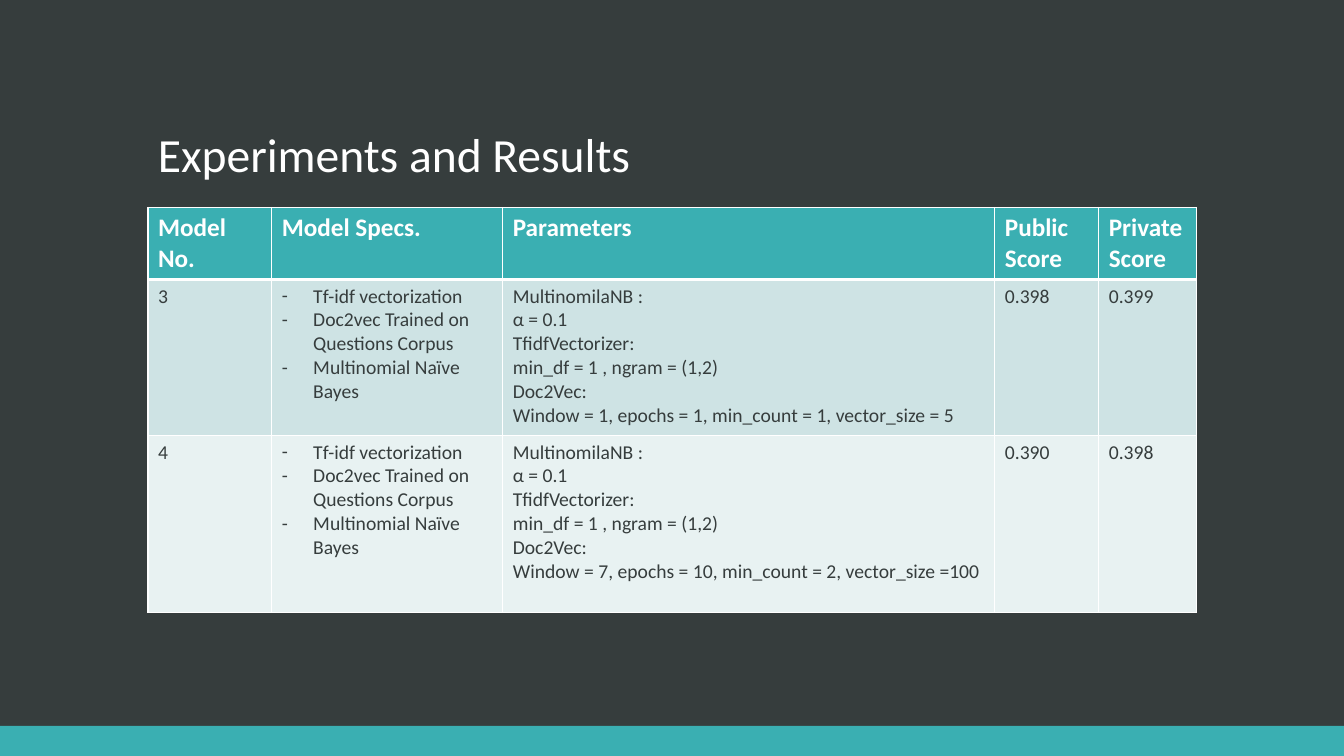
"""Build the Experiments and Results slide with its table of models."""
from lxml.etree import SubElement
from pptx import Presentation
from pptx.dml.color import RGBColor
from pptx.enum.shapes import MSO_SHAPE
from pptx.enum.text import MSO_ANCHOR
from pptx.oxml.ns import qn
from pptx.util import Cm, Pt

COLORS = {
    "background": "363D3D",
    "accent": "3AAFB2",
    "white": "FFFFFF",
    "row_dark": "CEE3E4",
    "row_light": "E8F2F2",
}


def add_run(p, text, size, color, bold=False):
    r = p.add_run()
    r.text = text
    r.font.name = "Calibri"
    r.font.size = Pt(size)
    r.font.bold = bold
    r.font.color.rgb = RGBColor.from_string(COLORS[color])


def add_border(cell, side, width):
    ln = SubElement(cell._tc.get_or_add_tcPr(), qn(f"a:ln{side}"), w=str(Pt(width)))
    fill = SubElement(ln, qn("a:solidFill"))
    SubElement(fill, qn("a:srgbClr"), val=COLORS["white"])


prs = Presentation()
prs.slide_width, prs.slide_height = Cm(33.87), Cm(19.05)
s = prs.slides.add_slide(prs.slide_layouts[6])
s.background.fill.solid()
s.background.fill.fore_color.rgb = RGBColor.from_string(COLORS["background"])

bar = s.shapes.add_shape(MSO_SHAPE.RECTANGLE, 0, Cm(18.29), prs.slide_width, Cm(0.76))
bar.shadow.inherit = False
bar.fill.solid()
bar.fill.fore_color.rgb = RGBColor.from_string(COLORS["accent"])
bar.line.fill.background()

title = s.shapes.add_textbox(Cm(3.73), Cm(1.3), Cm(26.42), Cm(3.43))
tf = title.text_frame
tf.word_wrap = True
tf.vertical_anchor = MSO_ANCHOR.BOTTOM
tf.paragraphs[0].line_spacing = 0.9
add_run(tf.paragraphs[0], "Experiments and Results", 34, "white")

specs = ["Tf-idf vectorization", "Doc2vec Trained on Questions Corpus",
         "Multinomial Naïve Bayes"]
params = ["MultinomilaNB : ", "α = 0.1 ", "TfidfVectorizer: ",
          "min_df = 1 , ngram = (1,2) ", "Doc2Vec: "]
doc2vec_3 = "Window = 1, epochs = 1, min_count = 1, vector_size = 5 "
doc2vec_4 = "Window = 7, epochs = 10, min_count = 2, vector_size =100 "
rows = [
    [["Model No."], ["Model Specs."], ["Parameters"], ["Public Score "], ["Private Score"]],
    [["3"], specs, params + [doc2vec_3], ["0.398"], ["0.399"]],
    [["4"], specs, params + [doc2vec_4], ["0.390"], ["0.398"]],
]
col_widths = [3.12, 5.82, 12.4, 2.62, 2.46]
row_heights = [1.81, 3.93, 4.46]
row_fills = ["accent", "row_dark", "row_light"]

table = s.shapes.add_table(len(rows), len(col_widths), Cm(3.73), Cm(5.23),
                           Cm(sum(col_widths)), Cm(sum(row_heights))).table
for column, width in zip(table.columns, col_widths):
    column.width = Cm(width)

for i, row in enumerate(rows):
    table.rows[i].height = Cm(row_heights[i])
    header = i == 0
    for j, lines in enumerate(row):
        cell = table.cell(i, j)
        for side in "LRTB":
            under_header = (i, side) in [(0, "B"), (1, "T")]
            add_border(cell, side, 3 if under_header else 1)
        cell.fill.solid()
        cell.fill.fore_color.rgb = RGBColor.from_string(COLORS[row_fills[i]])
        tf = cell.text_frame
        for k, line in enumerate(lines):
            p = tf.add_paragraph() if k else tf.paragraphs[0]
            if lines is specs:
                pPr = p._p.get_or_add_pPr()
                pPr.set("marL", str(Cm(0.79)))
                pPr.set("indent", str(-Cm(0.79)))
                SubElement(pPr, qn("a:buFont"), typeface="Calibri")
                SubElement(pPr, qn("a:buChar"), char="-")
            add_run(p, line, 18 if header else 14,
                    "white" if header else "background", header)

prs.save("out.pptx")
